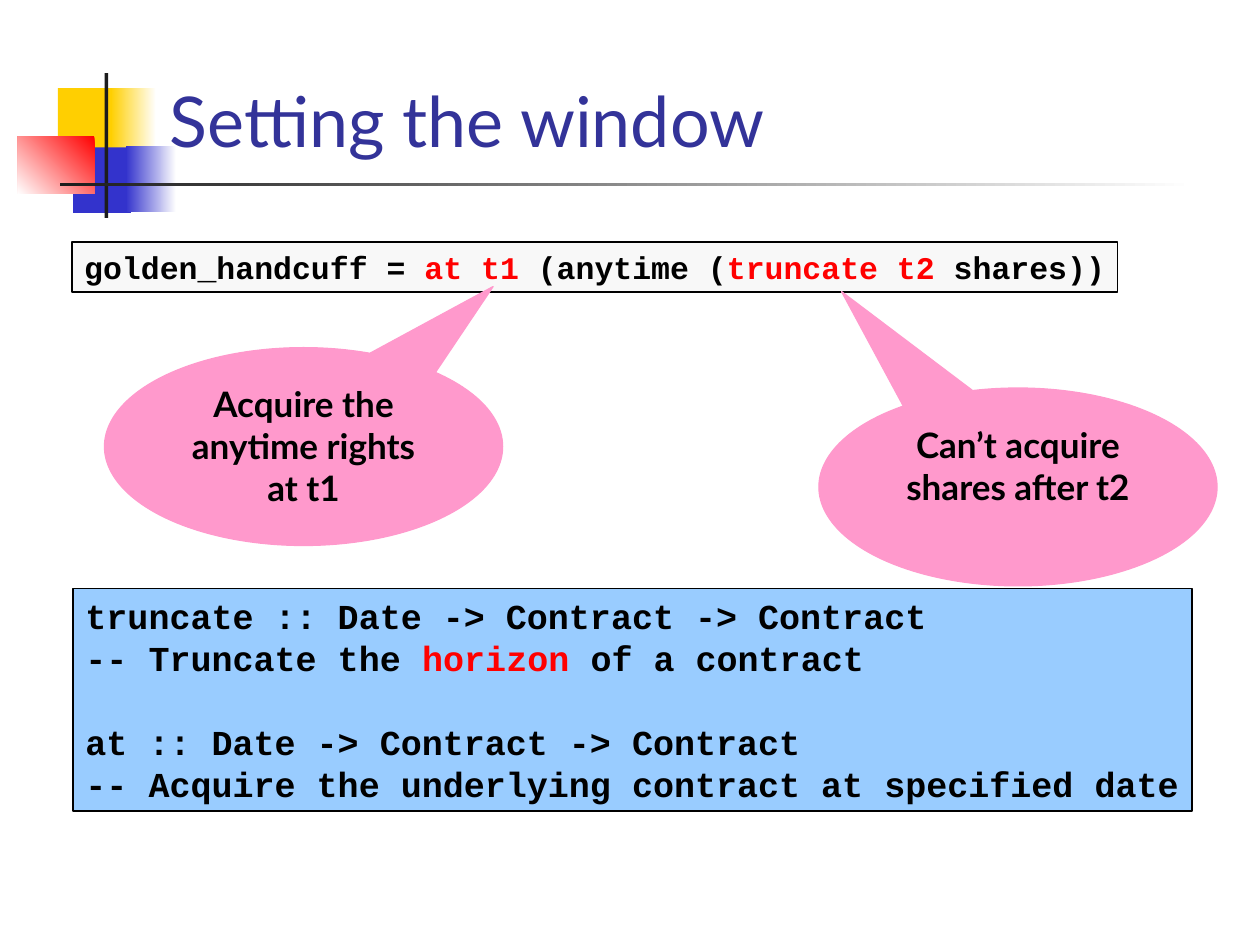
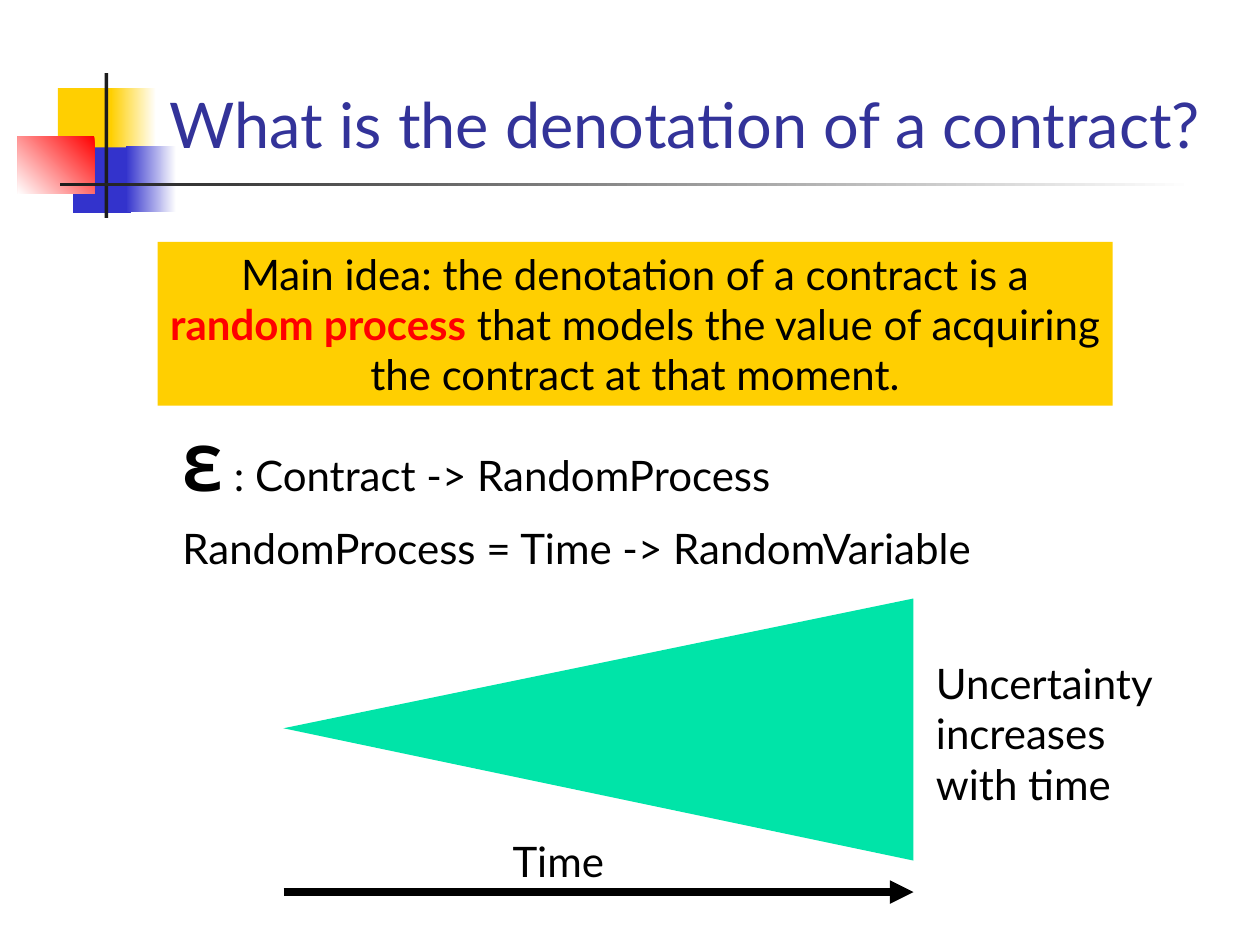
from dataclasses import dataclass

from lxml import etree
from pptx import Presentation
from pptx.dml.color import RGBColor
from pptx.enum.shapes import MSO_CONNECTOR as Connector, MSO_SHAPE as Shape
from pptx.enum.text import MSO_ANCHOR as Anchor, PP_ALIGN as Align
from pptx.oxml.ns import qn
from pptx.util import Inches, Pt


@dataclass(frozen=True)
class Theme:
    body_font: str = "Lato"
    code_font: str = "Courier New"
    title: str = "333399"
    ink: str = "000000"
    accent: str = "FF0000"
    white: str = "FFFFFF"
    bar: str = "1C1C1C"
    yellow: str = "FFCF01"
    blue: str = "3333CC"
    code_pale: str = "F8F8F8"
    code_blue: str = "99CCFF"
    pink: str = "FF99CC"
    green: str = "00E4A8"
    title_size: int = 40
    long_title_size: int = 36
    symbol_size: int = 36
    body_size: int = 24
    note_size: int = 20
    code_size: int = 18


THEME = Theme()
RED = {"color": THEME.accent}
RED_BOLD = {"color": THEME.accent, "bold": True}


def rgb(value):
    return RGBColor.from_string(value)


def add_block(page, kind, box, fill, line=None, width=1):
    """Add a flat preset shape; fill is a colour or (start, end, angle)."""
    shape = page.shapes.add_shape(kind, *map(Inches, box))
    shape.shadow.inherit = False
    if isinstance(fill, tuple):
        *colours, angle = fill
        shape.fill.gradient()
        shape.fill.gradient_angle = angle
        for stop, colour in zip(shape.fill.gradient_stops, colours):
            stop.color.rgb = rgb(colour)
    else:
        shape.fill.solid()
        shape.fill.fore_color.rgb = rgb(fill)
    if line:
        shape.line.color.rgb = rgb(line)
        shape.line.width = Pt(width)
    else:
        shape.line.fill.background()
    return shape


def add_text_box(page, box):
    return page.shapes.add_textbox(*map(Inches, box))


def write(shape, paragraphs, size, font=THEME.body_font, color=THEME.ink, bold=False,
          align=Align.LEFT, anchor=Anchor.TOP, wrap=True, gaps=None, leading=None):
    """Fill a shape; a paragraph is a string or a list of strings and (text, style) pairs."""
    frame = shape.text_frame
    frame.word_wrap = wrap
    frame.vertical_anchor = anchor
    for index, parts in enumerate(paragraphs):
        para = frame.paragraphs[0] if index == 0 else frame.add_paragraph()
        para.alignment = align
        para.space_before = Pt((gaps or {}).get(index, 0))
        if leading:
            para.line_spacing = Pt(leading)
        for part in [parts] if isinstance(parts, str) else parts:
            text, style = (part, {}) if isinstance(part, str) else part
            span = para.add_run()
            span.text = text
            span.font.name = font
            span.font.size = Pt(style.get("size", size))
            span.font.bold = style.get("bold", bold)
            span.font.color.rgb = rgb(style.get("color", color))


def add_frame(page, title, size):
    """Corner ornament, rule and title shared by all slides."""
    for box, fill in (
        ((0.46, 0.7, 0.48, 0.52), THEME.yellow),
        ((0.88, 0.7, 0.36, 0.52), (THEME.white, THEME.yellow, 180)),
        ((0.58, 1.17, 0.46, 0.52), THEME.blue),
        ((1, 1.16, 0.4, 0.52), (THEME.white, THEME.blue, 180)),
        ((0.14, 1.08, 0.61, 0.46), (THEME.accent, THEME.white, 225)),
        ((0.83, 0.58, 0.03, 1.15), THEME.bar),
        ((0.48, 1.45, 9, 0.03), (THEME.white, THEME.bar, 180)),
    ):
        add_block(page, Shape.RECTANGLE, box, fill)
    write(add_text_box(page, (1.25, 0.08, 8.52, 1.25)), [title], size,
          color=THEME.title, anchor=Anchor.BOTTOM)


def add_code(page, box, fill, lines, size, gaps=None):
    panel = add_block(page, Shape.RECTANGLE, box, fill, THEME.ink)
    write(panel, lines, size, font=THEME.code_font, bold=True, wrap=False,
          gaps=gaps, leading=size * 1.2)


def add_callout(page, left, top, tip, text):
    callout = add_block(page, Shape.OVAL_CALLOUT, (left, top, 3.16, 1.57),
                        THEME.pink, THEME.pink, 0.75)
    for index, offset in enumerate(tip):
        callout.adjustments[index] = offset
    write(callout, [text], THEME.note_size, bold=True, align=Align.CENTER)


def add_uncertainty_cone(page, box):
    """Triangle opening to the right, with its time axis and labels."""
    left, top, width, height = box
    right = left + width
    # The triangle is laid out upright, then turned about its centre
    cone = add_block(page, Shape.ISOSCELES_TRIANGLE,
                     (left + (width - height) / 2, top + (height - width) / 2, height, width),
                     THEME.green)
    cone.adjustments[0] = 0.505
    cone.rotation = 270

    # Time axis
    axis_y = top + height + 0.25
    axis = page.shapes.add_connector(
        Connector.STRAIGHT, *map(Inches, (left, axis_y, right, axis_y)))
    axis.line.color.rgb = rgb(THEME.ink)
    axis.line.width = Pt(4.5)
    etree.SubElement(axis.line._get_or_add_ln(), qn("a:tailEnd"), type="triangle")
    etree.SubElement(axis._element.spPr, qn("a:effectLst"))

    # Labels
    write(add_text_box(page, (right + 0.08, top + 0.42, 2, 1.3)),
          ["Uncertainty increases with time"], THEME.body_size)
    write(add_text_box(page, (left + 1.72, axis_y - 0.5, 0.97, 0.5)),
          ["Time"], THEME.body_size, wrap=False)


def build_window_slide(page):
    add_frame(page, "Setting the window", THEME.title_size)
    add_code(page, (0.57, 1.92, 8.3, 0.4), THEME.code_pale,
             [["golden_handcuff = ", ("at t1", RED), " (anytime (",
               ("truncate t2", RED), " shares))"]], THEME.code_size)
    add_code(page, (0.58, 4.67, 8.88, 1.77), THEME.code_blue,
             ["truncate :: Date -> Contract -> Contract",
              ["-- Truncate the ", ("horizon", RED), " of a contract"],
              "at :: Date -> Contract -> Contract",
              "-- Acquire the underlying contract at specified date"],
             THEME.note_size, gaps={2: 24})
    add_callout(page, 6.5, 3.08, (-0.443, -0.987), "Can’t acquire shares after t2")
    add_callout(page, 0.83, 2.76, (0.476, -0.809), "Acquire the anytime rights at t1")


def build_denotation_slide(page):
    add_frame(page, "What is the denotation of a contract?", THEME.long_title_size)
    # Main idea
    idea = add_block(page, Shape.RECTANGLE, (1.25, 1.92, 7.58, 1.3), THEME.yellow)
    write(idea, [["Main idea: the denotation of a contract is a ",
                  ("random process", RED_BOLD),
                  " that models the value of acquiring the contract at that moment."]],
          THEME.body_size, align=Align.CENTER)
    # Type signatures
    write(add_text_box(page, (1.35, 3.35, 6.93, 1.25)),
          [[("ℇ", {"size": THEME.symbol_size, "bold": True}), " : Contract -> RandomProcess"],
           "RandomProcess = Time -> RandomVariable"],
          THEME.body_size, gaps={1: 10.5})
    add_uncertainty_cone(page, (2.25, 4.75, 5, 2.08))


def main():
    deck = Presentation()
    deck.slide_width, deck.slide_height = Inches(10), Inches(7.5)
    for build in (build_window_slide, build_denotation_slide):
        build(deck.slides.add_slide(deck.slide_layouts[6]))
    deck.save("out.pptx")


if __name__ == "__main__":
    main()
